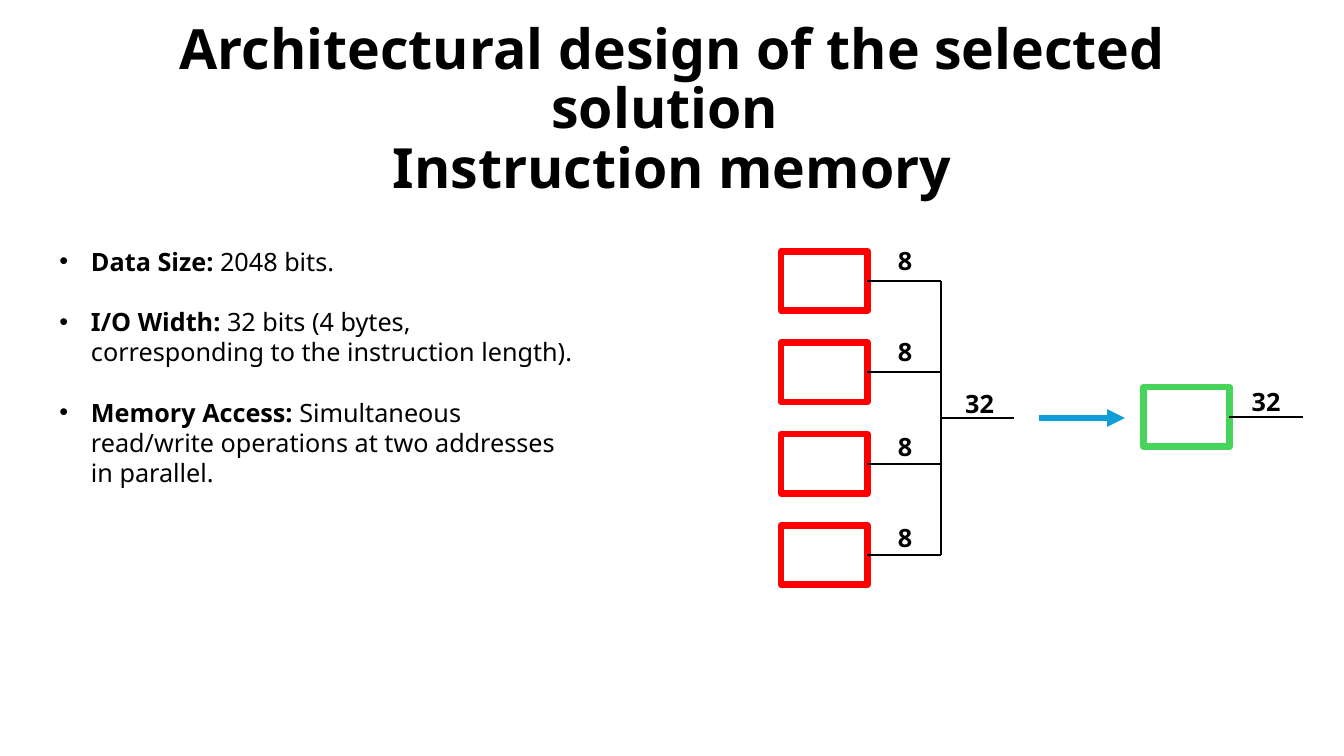
from dataclasses import dataclass

from lxml import etree
from pptx import Presentation
from pptx.dml.color import RGBColor
from pptx.enum.shapes import MSO_CONNECTOR, MSO_SHAPE
from pptx.enum.text import MSO_ANCHOR, MSO_AUTO_SIZE, PP_ALIGN
from pptx.oxml.ns import qn
from pptx.util import Pt

RECTANGLE = MSO_SHAPE.RECTANGLE
STRAIGHT = MSO_CONNECTOR.STRAIGHT
CENTER, LEFT = PP_ALIGN.CENTER, PP_ALIGN.LEFT
TOP, MIDDLE = MSO_ANCHOR.TOP, MSO_ANCHOR.MIDDLE
NO_FIT, GROW = MSO_AUTO_SIZE.NONE, MSO_AUTO_SIZE.SHAPE_TO_FIT_TEXT
RIGHT_SIDE = 3


@dataclass(frozen=True)
class Theme:
    font: str = "Noto Sans"
    title_size: float = 39.6
    text_size: float = 18
    ink: str = "000000"
    paper: str = "FFFFFF"
    bank: str = "FF0000"
    memory: str = "47D45A"
    arrow: str = "0F9ED5"
    box_line: float = 4.75
    arrow_line: float = 4.25
    wire_line: float = 1.5


class SlideBuilder:
    def __init__(self, slide, theme):
        self.slide = slide
        self.theme = theme

    def place(self, shape, left, top, width, height):
        shape.left, shape.top = Pt(left), Pt(top)
        shape.width, shape.height = Pt(width), Pt(height)

    def style_run(self, run, size, bold):
        run.font.name = self.theme.font
        run.font.size = Pt(size)
        run.font.bold = bold
        run.font.color.rgb = RGBColor.from_string(self.theme.ink)

    def title(self, text, *box):
        heading = self.slide.shapes.title
        self.place(heading, *box)
        frame = heading.text_frame
        frame.auto_size = NO_FIT
        frame.vertical_anchor = MIDDLE
        paragraph = frame.paragraphs[0]
        paragraph.text = text
        paragraph.alignment = CENTER
        paragraph.line_spacing = 0.9
        for run in paragraph.runs:
            self.style_run(run, self.theme.title_size, True)

    def bullets(self, items, *box, indent, gap):
        body = self.slide.placeholders[1]
        self.place(body, *box)
        frame = body.text_frame
        frame.auto_size = NO_FIT
        frame.vertical_anchor = TOP
        for index, parts in enumerate(items):
            paragraph = frame.add_paragraph() if index else frame.paragraphs[0]
            paragraph.alignment = LEFT
            paragraph.space_before = Pt(0)
            paragraph.space_after = Pt(gap)
            properties = paragraph._p.get_or_add_pPr()
            properties.set("marL", str(Pt(indent)))
            properties.set("indent", str(-Pt(indent)))
            etree.SubElement(properties, qn("a:buFont"), typeface="Arial")
            etree.SubElement(properties, qn("a:buChar"), char="•")
            for part, bold in zip(parts, (True, False)):
                run = paragraph.add_run()
                run.text = part
                self.style_run(run, self.theme.text_size, bold)

    def label(self, text, *box):
        caption = self.slide.shapes.add_textbox(*map(Pt, box))
        frame = caption.text_frame
        frame.word_wrap = False
        frame.auto_size = GROW
        frame.text = text
        paragraph = frame.paragraphs[0]
        paragraph.alignment = CENTER
        self.style_run(paragraph.runs[0], self.theme.text_size, True)

    def box(self, color, *box):
        block = self.slide.shapes.add_shape(RECTANGLE, *map(Pt, box))
        block.shadow.inherit = False
        block.fill.solid()
        block.fill.fore_color.rgb = RGBColor.from_string(self.theme.paper)
        block.line.color.rgb = RGBColor.from_string(color)
        block.line.width = Pt(self.theme.box_line)
        return block

    def wire(self, *ends, source=None):
        line = self.slide.shapes.add_connector(STRAIGHT, *map(Pt, ends))
        if source is not None:
            line.begin_connect(source, RIGHT_SIDE)
        line.line.color.rgb = RGBColor.from_string(self.theme.ink)
        line.line.width = Pt(self.theme.wire_line)
        etree.SubElement(line._element.spPr, qn("a:effectLst"))
        return line

    def arrow(self, *ends):
        line = self.wire(*ends)
        line.line.color.rgb = RGBColor.from_string(self.theme.arrow)
        line.line.width = Pt(self.theme.arrow_line)
        etree.SubElement(line.line._get_or_add_ln(), qn("a:tailEnd"), type="triangle")


def main():
    deck = Presentation()
    deck.slide_width, deck.slide_height = Pt(960), Pt(540)
    theme = Theme()
    builder = SlideBuilder(deck.slides.add_slide(deck.slide_layouts[1]), theme)

    builder.title(
        "Architectural design of the selected solution \vInstruction memory",
        66, 27, 828, 104.4,
    )
    builder.bullets(
        [
            ("Data Size:", " 2048 bits."),
            ("I/O Width:", " 32 bits (4 bytes, corresponding to the instruction length)."),
            ("Memory Access:", " Simultaneous read/write operations at two addresses in parallel."),
        ],
        35.3, 172, 385.2, 181.4, indent=22.5, gap=21.6,
    )

    box_width, box_height = 61.5, 42.5
    bank_left, bank_top, bank_pitch = 558, 179.5, 65.25
    bank_right = bank_left + box_width
    wire_length = 52.4
    bus_x = bank_right + wire_length
    label_height = 29
    byte_label_tops = (172, 237, 304.5, 369.5)

    byte_levels = []
    for index, label_top in enumerate(byte_label_tops):
        top = bank_top + index * bank_pitch
        level = top + box_height / 2
        bank = builder.box(theme.bank, bank_left, top, box_width, box_height)
        builder.wire(bank_right, level, bus_x, level, source=bank)
        builder.label("8", 634.3, label_top, 22.3, label_height)
        byte_levels.append(level)

    first_level, last_level = byte_levels[0], byte_levels[-1]
    word_level = (first_level + last_level) / 2
    builder.wire(bus_x, first_level, bus_x, last_level)
    builder.wire(bus_x, word_level, bus_x + wire_length, word_level)
    builder.label("32", 681, 273.6, 37.4, label_height)
    builder.arrow(742.3, word_level, 803.5, word_level)

    memory_left, memory_top = 816.7, 276.5
    memory_right = memory_left + box_width
    memory_level = memory_top + box_height / 2
    memory = builder.box(theme.memory, memory_left, memory_top, box_width, box_height)
    builder.wire(
        memory_right, memory_level, memory_right + wire_length, memory_level, source=memory
    )
    builder.label("32", 885.6, 272.4, 37.4, label_height)

    deck.save("out.pptx")


if __name__ == "__main__":
    main()
